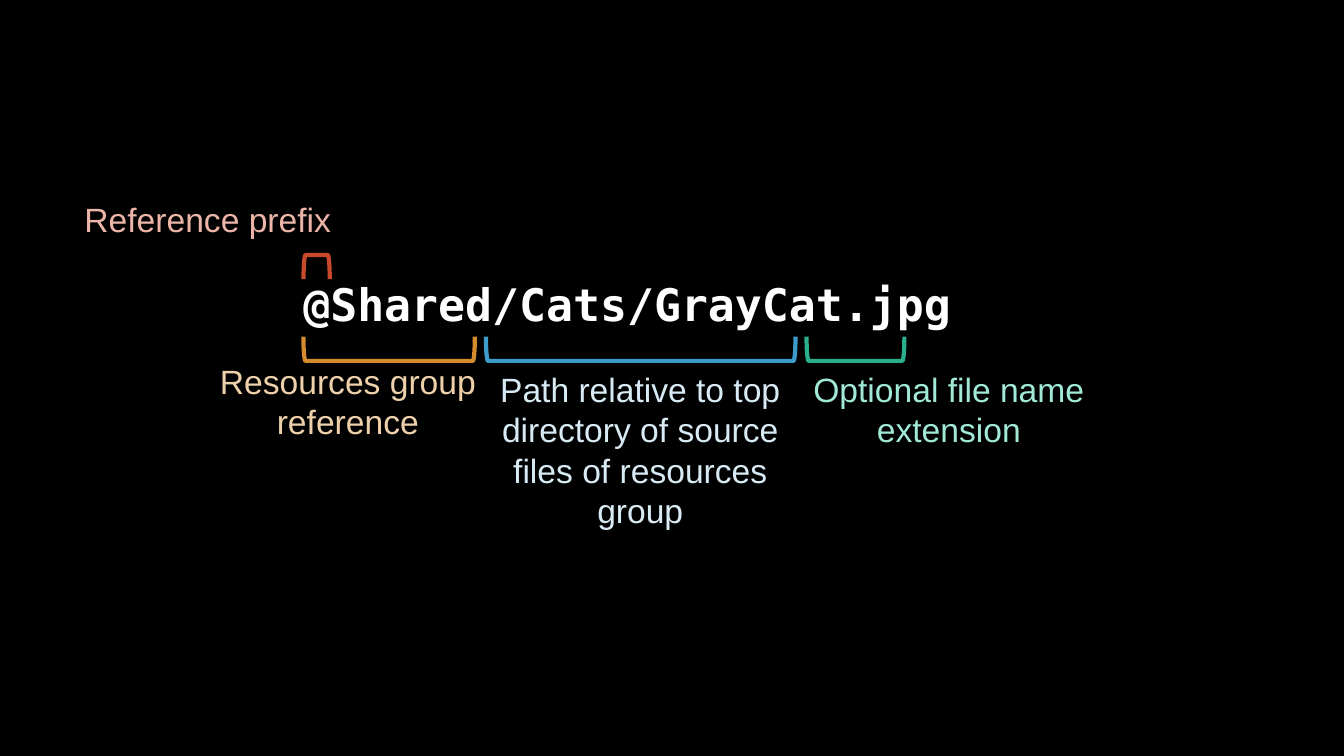
from pptx import Presentation
from pptx.dml.color import RGBColor
from pptx.enum.shapes import MSO_SHAPE
from pptx.enum.text import MSO_AUTO_SIZE, PP_ALIGN
from pptx.util import Inches, Pt

BRACKET = MSO_SHAPE.LEFT_BRACKET
CENTER, LEFT = PP_ALIGN.CENTER, PP_ALIGN.LEFT
GROW = MSO_AUTO_SIZE.SHAPE_TO_FIT_TEXT

BLACK = RGBColor(0x00, 0x00, 0x00)
WHITE = RGBColor(0xFF, 0xFF, 0xFF)
RED = RGBColor(0xC9, 0x49, 0x2C)
ORANGE = RGBColor(0xD5, 0x8C, 0x2E)
BLUE = RGBColor(0x3D, 0x9C, 0xCC)
GREEN = RGBColor(0x29, 0xAF, 0x8C)
PALE_RED = RGBColor(0xEC, 0xB5, 0xA8)
PALE_ORANGE = RGBColor(0xEE, 0xD1, 0xAB)
PALE_BLUE = RGBColor(0xD8, 0xEB, 0xF5)
PALE_GREEN = RGBColor(0xA0, 0xE9, 0xD6)

# Content: the reference, and the brackets and labels that explain its parts
REFERENCE = "@Shared/Cats/GrayCat.jpg"
REFERENCE_BOX = (2.91, 2.7, 6.88, 0.64)
REFERENCE_FONT = {"name": "DejaVu Sans Mono", "size": Pt(32), "bold": True}
LABEL_FONT = {"name": "Arial", "size": Pt(24), "bold": False}

# Left end, span, middle height, rotation, colour
ABOVE, BELOW = (2.65, 90), (3.46, 270)
BRACKETS = [
    (3.01, 0.26, ABOVE, RED),
    (3.01, 1.7, BELOW, ORANGE),
    (4.82, 3.07, BELOW, BLUE),
    (8.0, 0.97, BELOW, GREEN),
]
BRACKET_DEPTH = 0.24

# Paragraphs, box, colour
LABELS = [
    (["Reference prefix"], (0.65, 1.97, 2.82, 0.4), PALE_RED),
    (["Resources group", "reference"], (2.16, 3.58, 2.58, 0.81), PALE_ORANGE),
    (["Path relative to top directory of source files of resources group"],
     (4.66, 3.66, 3.38, 1.62), PALE_BLUE),
    (["Optional file name extension"], (8.0, 3.66, 2.82, 0.81), PALE_GREEN),
]


def add_text(slide, lines, box, font, color, align, margins=None):
    tf = slide.shapes.add_textbox(*map(Inches, box)).text_frame
    tf.word_wrap = True
    tf.auto_size = GROW
    for side, value in (margins or {}).items():
        setattr(tf, side, value)
    for i, line in enumerate(lines):
        p = tf.paragraphs[0] if i == 0 else tf.add_paragraph()
        p.alignment = align
        r = p.add_run()
        r.text = line
        for key, value in font.items():
            setattr(r.font, key, value)
        r.font.color.rgb = color


def add_bracket(slide, left, span, side, color):
    # The shape is upright before rotation, so it is placed around its centre
    middle, rotation = side
    x = left + span / 2 - BRACKET_DEPTH / 2
    y = middle - span / 2
    sp = slide.shapes.add_shape(
        BRACKET, Inches(x), Inches(y), Inches(BRACKET_DEPTH), Inches(span))
    sp.rotation = rotation
    sp.shadow.inherit = False
    sp.fill.background()
    sp.line.color.rgb = color
    sp.line.width = Pt(3)


def main():
    prs = Presentation()
    prs.slide_width, prs.slide_height = Inches(13.33), Inches(7.5)
    slide = prs.slides.add_slide(prs.slide_layouts[6])
    slide.background.fill.solid()
    slide.background.fill.fore_color.rgb = BLACK

    # Reference
    add_text(slide, [REFERENCE], REFERENCE_BOX, REFERENCE_FONT, WHITE, LEFT)

    # Brackets
    for bracket in BRACKETS:
        add_bracket(slide, *bracket)

    # Labels
    no_margins = {f"margin_{side}": 0
                  for side in ("left", "top", "right", "bottom")}
    for lines, box, color in LABELS:
        add_text(slide, lines, box, LABEL_FONT, color, CENTER, no_margins)

    prs.save("out.pptx")


if __name__ == "__main__":
    main()
